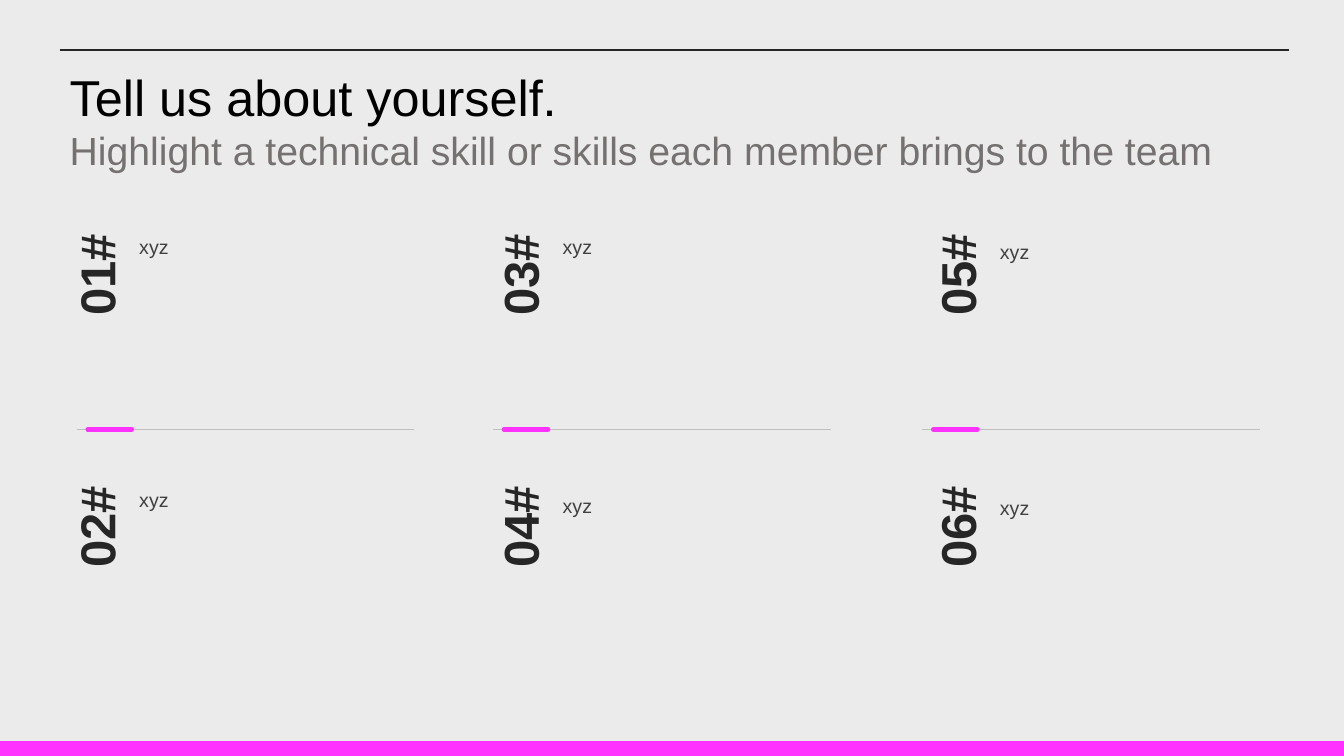
from lxml import etree
from pptx import Presentation
from pptx.dml.color import RGBColor
from pptx.enum.shapes import MSO_CONNECTOR
from pptx.enum.text import MSO_ANCHOR, MSO_AUTO_SIZE, PP_ALIGN
from pptx.oxml.ns import qn
from pptx.util import Cm, Pt

STRAIGHT = MSO_CONNECTOR.STRAIGHT
TOP, BOTTOM = MSO_ANCHOR.TOP, MSO_ANCHOR.BOTTOM
NO_FIT = MSO_AUTO_SIZE.NONE
LEFT = PP_ALIGN.LEFT

COLORS = {
    "background": "EBEBEB",
    "title": "000000",
    "subtitle": "767171",
    "number": "262626",
    "note": "404040",
    "rule": "BFBFBF",
    "accent": "FF32FF",
}
FONT = "Arial"
WIDTH, HEIGHT = 33.87, 19.05
ROW_TOPS = (5.84, 12.19)
DIVIDER_TOP = 10.82
COLUMNS = (
    (0.94, 1.93, (5.97, 12.34)),
    (11.61, 12.42, (5.97, 12.5)),
    (22.63, 23.24, (6.1, 12.55)),
)


class TeamSlide:
    def __init__(self, deck):
        self.slide = deck.slides.add_slide(deck.slide_layouts[5])
        fill = self.slide.background.fill
        fill.solid()
        fill.fore_color.rgb = self.color("background")

    def color(self, name):
        return RGBColor.from_string(COLORS[name])

    def style(self, font, size, color, bold=False):
        font.name = FONT
        font.size = Pt(size)
        font.bold = bold
        font.color.rgb = self.color(color)

    def title(self, heading, subheading):
        title = self.slide.shapes.title
        title.left, title.top = Cm(1.5), Cm(1.5)
        title.width, title.height = Cm(31.98), Cm(3)
        frame = title.text_frame
        frame.word_wrap = True
        frame.auto_size = NO_FIT
        frame.vertical_anchor = BOTTOM
        paragraph = frame.paragraphs[0]
        paragraph.alignment = LEFT
        first = paragraph.add_run()
        first.text = heading
        self.style(first.font, 36, "title")
        paragraph.add_line_break()
        second = paragraph.add_run()
        second.text = subheading
        self.style(second.font, 28, "subtitle")

    def text(self, content, left, top, width, height, size, color, bold=False):
        box = self.slide.shapes.add_textbox(Cm(left), Cm(top), Cm(width), Cm(height))
        frame = box.text_frame
        frame.word_wrap = True
        frame.vertical_anchor = TOP
        paragraph = frame.paragraphs[0]
        paragraph.text = content
        paragraph.alignment = LEFT
        self.style(paragraph.font, size, color, bold)
        return box

    def number(self, content, left, top):
        box = self.text(content, left, top, 2.97, 1.75, 35, "number", True)
        box.rotation = 270

    def note(self, content, left, top):
        frame = self.text(content, left, top, 5.44, 0.56, 14, "note").text_frame
        frame.margin_left = frame.margin_right = 0
        frame.margin_top = frame.margin_bottom = 0
        paragraph = frame.paragraphs[0]
        paragraph.line_spacing = 0.95
        paragraph.space_after = Pt(8)

    def line(self, left, top, length, color, weight, rounded=False):
        line = self.slide.shapes.add_connector(
            STRAIGHT, Cm(left), Cm(top), Cm(left + length), Cm(top)
        )
        line.line.color.rgb = self.color(color)
        line.line.width = Pt(weight)
        properties = line._element.spPr
        etree.SubElement(properties, qn("a:effectLst"))
        if rounded:
            properties.find(qn("a:ln")).set("cap", "rnd")


def main():
    deck = Presentation()
    deck.slide_width, deck.slide_height = Cm(WIDTH), Cm(HEIGHT)
    team = TeamSlide(deck)
    team.title(
        "Tell us about yourself.",
        "Highlight a technical skill or skills each member brings to the team",
    )
    team.line(1.5, 1.26, 30.99, "number", 1.5)
    team.line(0, 18.88, WIDTH, "accent", 12)

    member = 1
    for number_left, divider_left, note_tops in COLUMNS:
        for row_top, note_top in zip(ROW_TOPS, note_tops):
            team.note("xyz", number_left + 2.57, note_top)
            team.number(f"{member:02}#", number_left, row_top)
            member += 1
        team.line(divider_left, DIVIDER_TOP, 8.51, "rule", 0.75)
        team.line(divider_left + 0.28, DIVIDER_TOP, 1.11, "accent", 3.25, rounded=True)

    deck.save("out.pptx")


if __name__ == "__main__":
    main()
